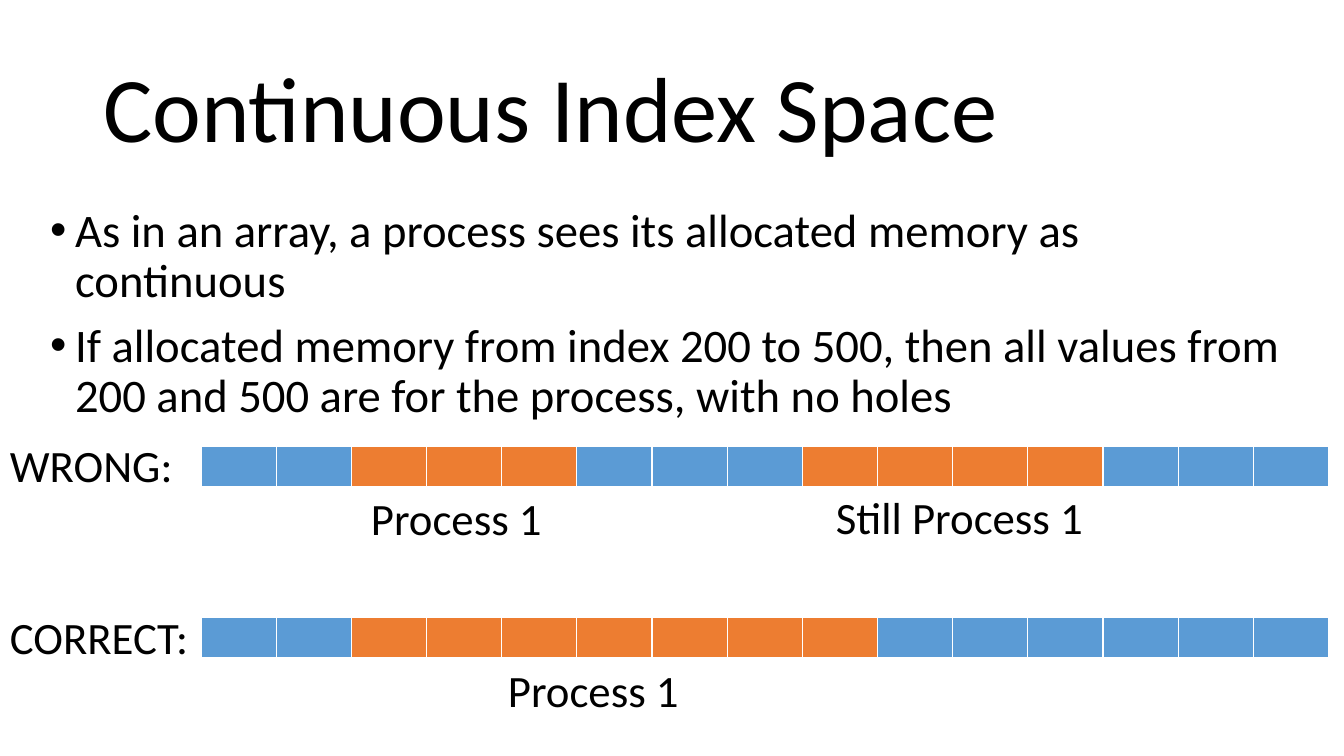
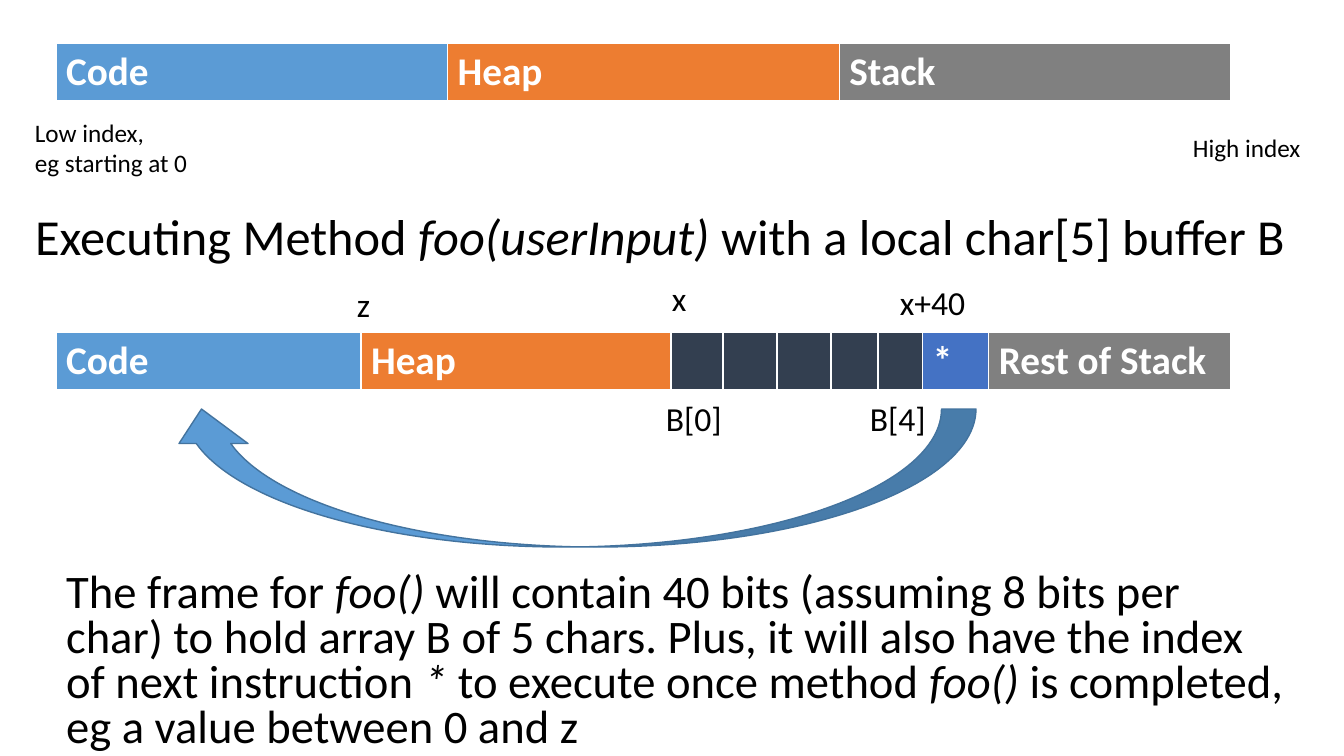
import pptx
import pptx.dml.color
import pptx.enum.shapes
import pptx.enum.text
import pptx.oxml
import pptx.oxml.ns
import pptx.util

PX = 9071  # EMU in one px, at 100.8 px to the inch
FONT = "Calibri"
HEX = {
    "text": "000000", "white": "FFFFFF", "blue": "5B9BD5", "orange": "ED7D31",
    "gray": "808080", "navy": "333F50", "royal": "4472C4", "edge": "43739E",
}


def color(name):
    return pptx.dml.color.RGBColor.from_string(HEX[name])


def write(para, runs, size, tint="text", bold=False):
    """Add (text, italic) runs to a paragraph."""
    for text, slant in runs:
        run = para.add_run()
        run.text = text
        font = run.font
        font.name, font.size = FONT, pptx.util.Pt(size)
        font.bold, font.italic = bold, slant
        font.color.rgb = color(tint)


deck = pptx.Presentation()
deck.slide_width, deck.slide_height = 1344 * PX, 756 * PX
index = deck.slides.add_slide(deck.slide_layouts[1])
stack = deck.slides.add_slide(deck.slide_layouts[3])

# Title
title = index.shapes.title
title.left, title.top, title.width, title.height = [n * PX for n in (93, 40, 1159, 146)]
frame = title.text_frame
frame.auto_size = pptx.enum.text.MSO_AUTO_SIZE.NONE
frame.vertical_anchor = pptx.enum.text.MSO_ANCHOR.MIDDLE
para = frame.paragraphs[0]
para.alignment = pptx.enum.text.PP_ALIGN.LEFT
para.line_spacing = 0.9
write(para, [("Continuous Index Space", False)], 66)
title = stack.shapes.title
title.element.getparent().remove(title.element)

# Body text: placeholder, box, size, line spacing, bullet, paragraphs
bodies = [
    (index.placeholders[1], (40, 202, 1269, 199), 33.3, 0.9, True, [
        [("As in an array, a process sees its allocated memory as continuous", False)],
        [("If allocated memory from index 200 to 500, then all values from "
          "200 and 500 are for the process, with no holes", False)],
    ]),
    (stack.placeholders[1], (25, 207, 1273, 73), 36, 0.9, False, [
        [("Executing Method ", False), ("foo(userInput) ", True),
         ("with a local char[5] buffer B", False)],
    ]),
    (stack.placeholders[2], (56, 568, 1241, 188), 33.3, 0.8, False, [
        [("The frame for ", False), ("foo() ", True),
         ("will contain 40 bits (assuming 8 bits per char) to hold array B of 5 chars. "
          "Plus, it will also have the index of next instruction ", False),
         ("*", True), (" to execute once method ", False), ("foo()", True),
         (" is completed, eg a value between 0 and z", False)],
    ]),
]
for body, box, size, lead, dot, paras in bodies:
    body.left, body.top, body.width, body.height = [n * PX for n in box]
    frame = body.text_frame
    frame.auto_size = pptx.enum.text.MSO_AUTO_SIZE.NONE
    for i, runs in enumerate(paras):
        para = frame.add_paragraph() if i else frame.paragraphs[0]
        para.line_spacing = lead
        para.space_before = pptx.util.Pt(10 if i else 0)
        props = para._p.get_or_add_pPr()
        hang = 25 * PX if dot else 0
        props.set("marL", str(hang))
        props.set("indent", str(-hang))
        space = pptx.oxml.ns.nsdecls("a")
        mark = f'<a:buChar {space} char="•"/>' if dot else f"<a:buNone {space}/>"
        props.append(pptx.oxml.parse_xml(mark))
        write(para, runs, size)

# Memory bars: slide, left, top, width, height, cells of (fill, text, share)
blue, orange = ("blue", "", 1), ("orange", "", 1)
navy = [("navy", "", n) for n in (52, 54, 54, 47, 45)]
bars = [
    (index, 201, 446, 1128, 41,
     [blue] * 2 + [orange] * 3 + [blue] * 3 + [orange] * 4 + [blue] * 3),
    (index, 201, 617, 1128, 41, [blue] * 2 + [orange] * 7 + [blue] * 6),
    (stack, 56, 43, 1175, 57,
     [("blue", "Code", 1), ("orange", "Heap", 1), ("gray", "Stack", 1)]),
    (stack, 56, 332, 1175, 57,
     [("blue", "Code", 305), ("orange", "Heap", 310), *navy,
      ("royal", "*", 66), ("gray", "Rest of Stack", 242)]),
]
for slide, left, top, width, height, cells in bars:
    table = slide.shapes.add_table(
        1, len(cells), left * PX, top * PX, width * PX, height * PX).table
    table.rows[0].height = height * PX
    total = sum(share for _, _, share in cells)
    for i, (fill, text, share) in enumerate(cells):
        table.columns[i].width = width * PX * share // total
        cell = table.cell(0, i)
        cell.fill.solid()
        cell.fill.fore_color.rgb = color(fill)
        if text:
            write(cell.text_frame.paragraphs[0], [(text, False)], 28, "white", True)

# Labels: slide, left, top, width, height, size, lines
labels = [
    (index, 0, 433, 184, 65, 32, ["WRONG:"]),
    (index, 361, 486, 193, 65, 32, ["Process 1"]),
    (index, 826, 485, 270, 65, 32, ["Still Process 1"]),
    (index, 0, 605, 201, 65, 32, ["CORRECT:"]),
    (index, 498, 658, 193, 65, 32, ["Process 1"]),
    (stack, 25, 112, 174, 72, 18, ["Low index,", "eg starting at 0"]),
    (stack, 1183, 127, 129, 40, 18, ["High index"]),
    (stack, 347, 279, 34, 50, 24, ["z"]),
    (stack, 662, 273, 35, 50, 24, ["x"]),
    (stack, 890, 277, 87, 50, 24, ["x+40"]),
    (stack, 656, 393, 77, 50, 24, ["B[0]"]),
    (stack, 860, 393, 77, 50, 24, ["B[4]"]),
]
for slide, left, top, width, height, size, lines in labels:
    frame = slide.shapes.add_textbox(
        left * PX, top * PX, width * PX, height * PX).text_frame
    frame.word_wrap = False
    frame.auto_size = pptx.enum.text.MSO_AUTO_SIZE.SHAPE_TO_FIT_TEXT
    for i, line in enumerate(lines):
        para = frame.add_paragraph() if i else frame.paragraphs[0]
        write(para, [(line, False)], size)

# Return arrow from the stored index back to the code
arrow = stack.shapes.add_shape(
    pptx.enum.shapes.MSO_SHAPE.CURVED_DOWN_ARROW,
    167 * PX, 409 * PX, 809 * PX, 138 * PX)
arrow.rotation = 180
arrow.shadow.inherit = False
arrow.fill.solid()
arrow.fill.fore_color.rgb = color("blue")
arrow.line.color.rgb = color("edge")
arrow.line.width = pptx.util.Pt(1)

deck.save("out.pptx")
